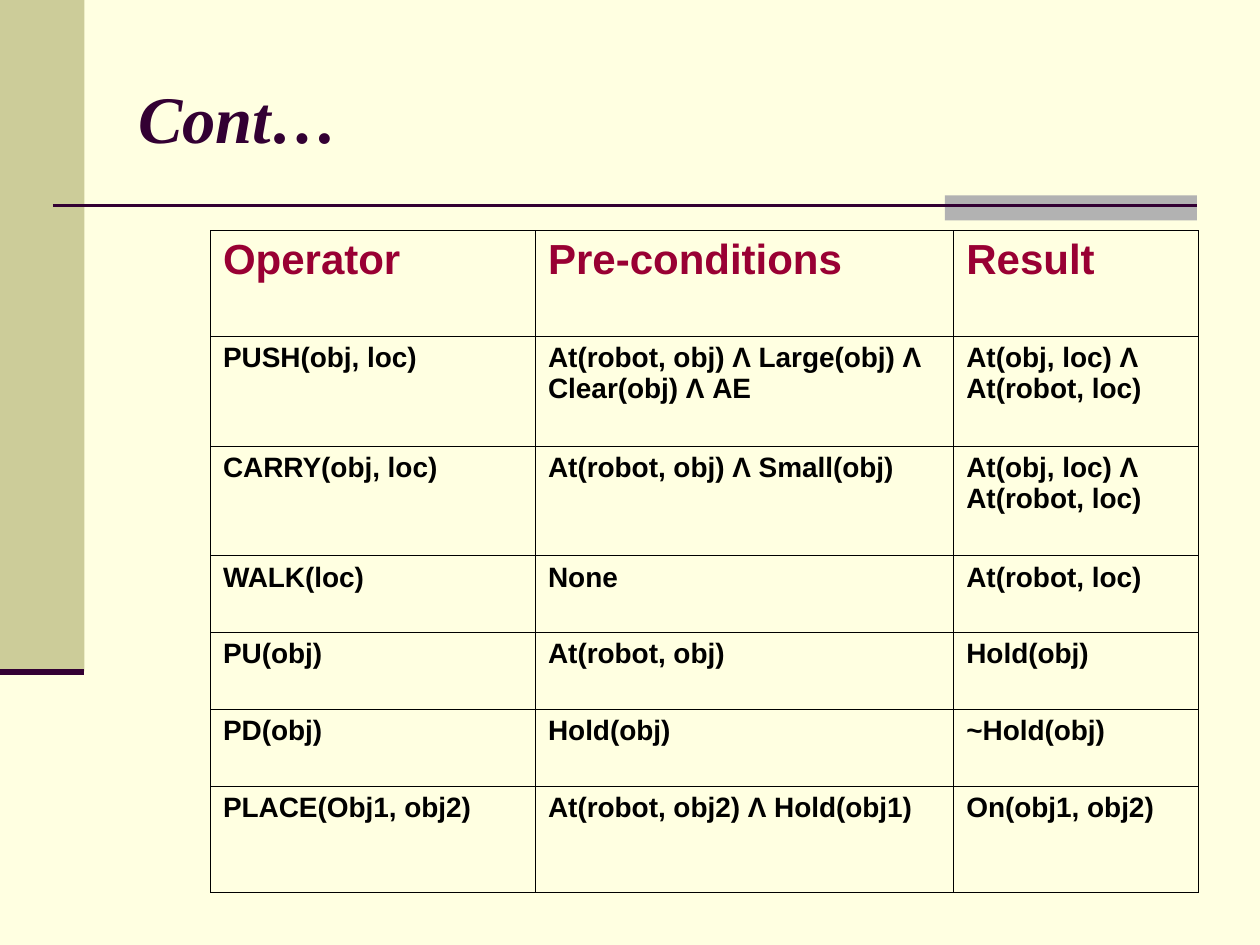
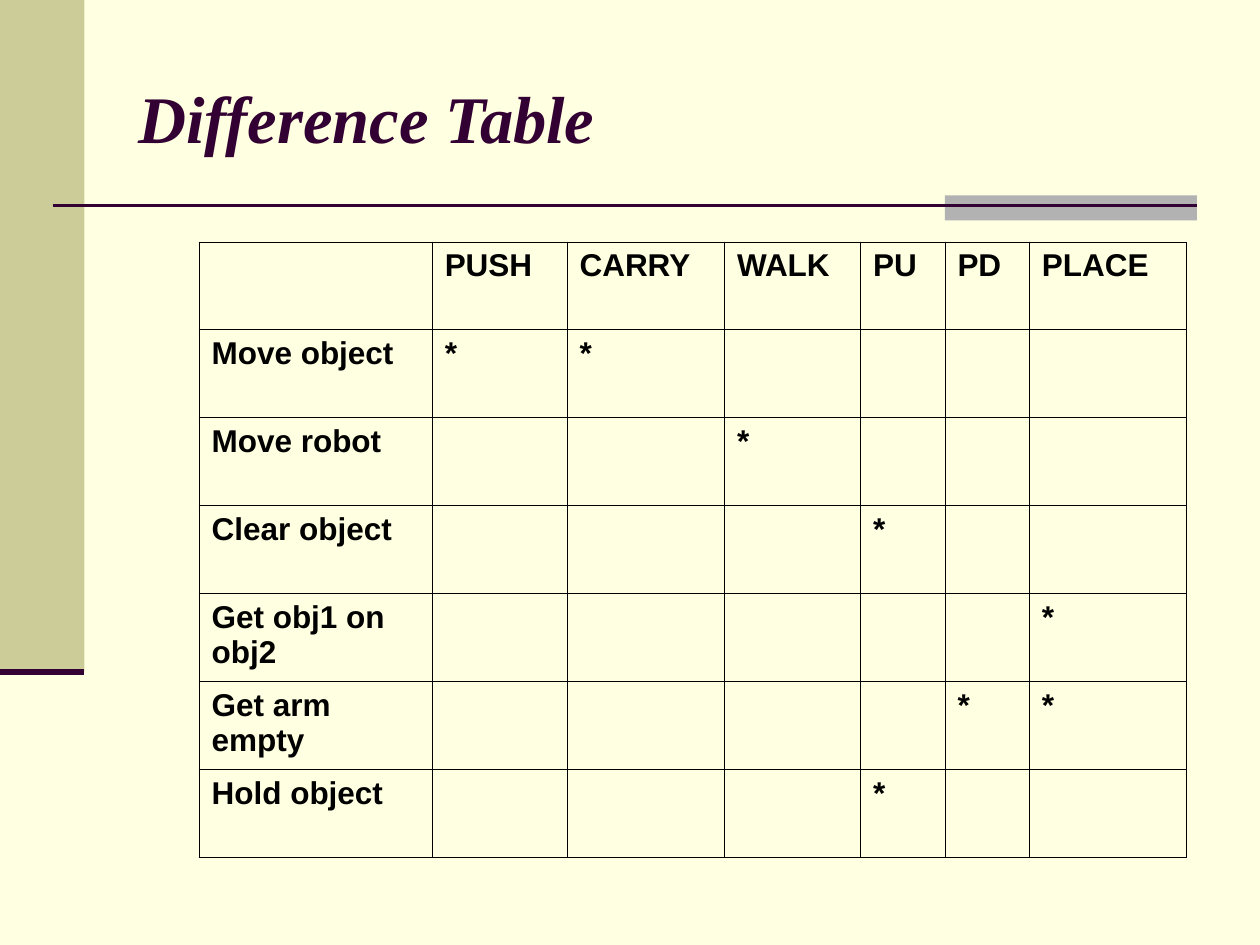
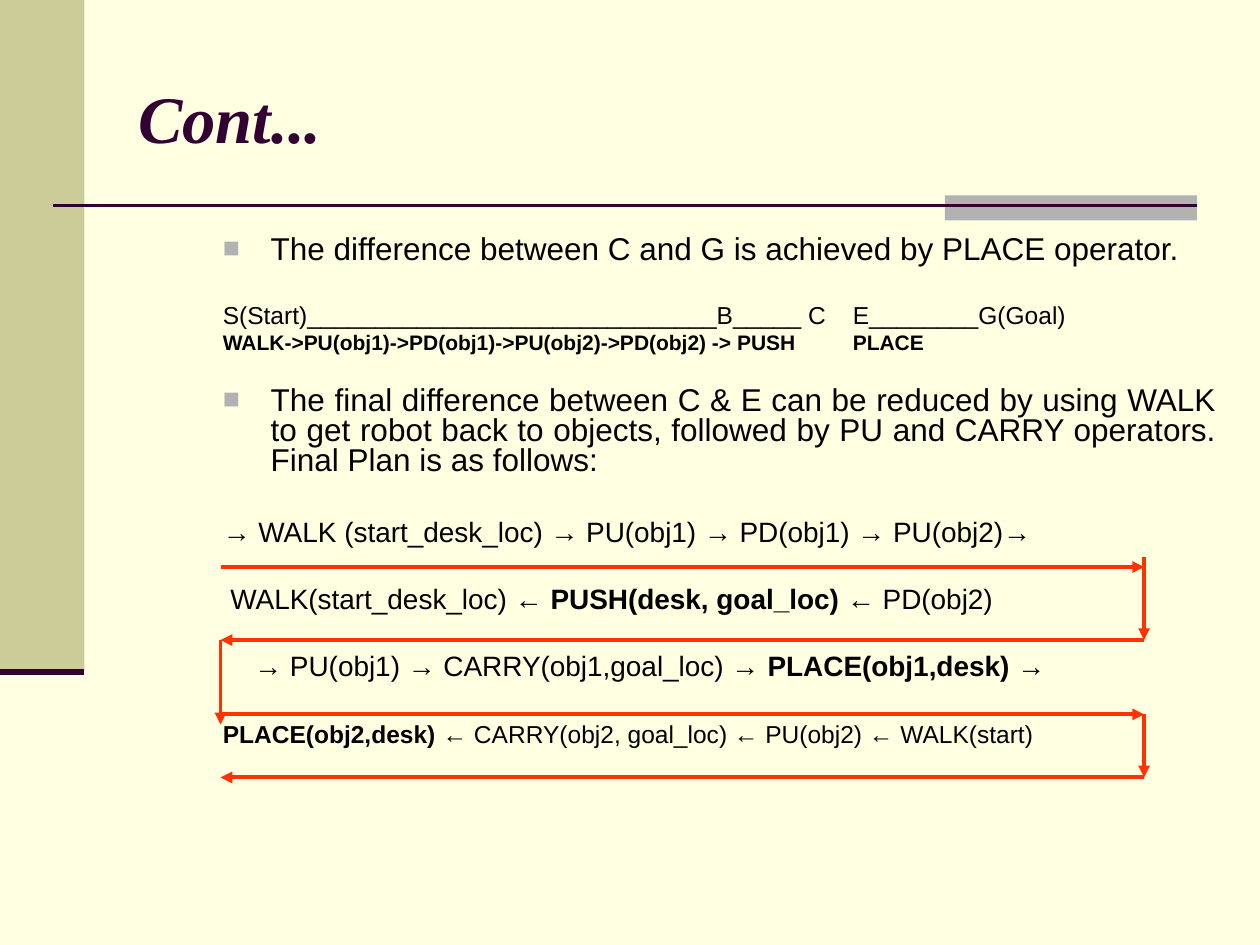
"""Build three slides on planning operators, their difference table and the final plan."""
from lxml.etree import SubElement as Sub
from pptx import Presentation
from pptx.dml.color import RGBColor as Rgb
from pptx.enum.shapes import MSO_CONNECTOR as Conn, MSO_SHAPE as Form
from pptx.enum.text import MSO_ANCHOR as Anchor, PP_ALIGN as Align
from pptx.oxml.ns import qn
from pptx.util import Inches, Pt

HUES = {
    "page": "FFFFE1", "band": "CCCC99", "gray": "B2B2B2", "plum": "330033",
    "wine": "990033", "ink": "000000", "red": "FF3300",
}
HEAD = {"size": Pt(38), "name": "Times New Roman", "bold": True, "italic": True}
TOP = {"size": Pt(24), "name": "Arial", "bold": True}
CELL = {"size": Pt(16), "name": "Arial", "bold": True}
MARK = {"size": Pt(18), "name": "Arial", "bold": True}


class Deck:
    def __init__(self):
        self.show = Presentation()
        self.show.slide_width, self.show.slide_height = Inches(10), Inches(7.5)
        self.slide = None

    def hue(self, name):
        return Rgb.from_string(HUES[name])

    def style(self, item, look):
        for key, value in look.items():
            setattr(item, key, value)

    def label(self, para, text, look, hue="ink"):
        run = para.add_run()
        run.text = text
        self.style(run.font, look)
        run.font.color.rgb = self.hue(hue)

    def rect(self, box, hue):
        shape = self.slide.shapes.add_shape(Form.RECTANGLE, *map(Inches, box))
        shape.shadow.inherit = False
        shape.fill.solid()
        shape.fill.fore_color.rgb = self.hue(hue)
        shape.line.fill.background()

    def line(self, start, end, hue, width, arrow=False):
        line = self.slide.shapes.add_connector(
            Conn.STRAIGHT, *map(Inches, (*start, *end)))
        line.line.color.rgb = self.hue(hue)
        line.line.width = Pt(width)
        props = line._element.spPr
        if arrow:
            Sub(props.find(qn("a:ln")), qn("a:tailEnd"), type="triangle")
        Sub(props, qn("a:effectLst"))

    def text(self, box):
        frame = self.slide.shapes.add_textbox(*map(Inches, box)).text_frame
        frame.word_wrap = True
        return frame

    def page(self, title):
        self.slide = self.show.slides.add_slide(self.show.slide_layouts[6])
        fill = self.slide.background.fill
        fill.solid()
        fill.fore_color.rgb = self.hue("page")
        self.rect((0, 0, 0.67, 5.33), "band")
        self.rect((7.5, 1.55, 2, 0.2), "gray")
        self.line((0.42, 1.63), (9.5, 1.63), "plum", 1.5)
        self.line((0, 5.33), (0.67, 5.33), "plum", 3.5)
        frame = self.text((1, 0.3, 8.5, 1.25))
        frame.vertical_anchor = Anchor.MIDDLE
        self.label(frame.paragraphs[0], title, HEAD, "plum")

    def edge(self, cell):
        props = cell._tc.get_or_add_tcPr()
        for side in ("lnL", "lnR", "lnT", "lnB"):
            line = Sub(props, qn(f"a:{side}"), w=str(Pt(0.45)))
            Sub(Sub(line, qn("a:solidFill")), qn("a:srgbClr"), val=HUES["ink"])
        cell.fill.background()

    def table(self, spot, cols, highs, rows, look, top, hue="ink"):
        size = sum(cols), sum(highs)
        grid = self.slide.shapes.add_table(
            len(rows), len(cols), *map(Inches, (*spot, *size))).table
        self.style(grid, {"first_row": False, "horz_banding": False})
        for col, width in zip(grid.columns, cols):
            col.width = Inches(width)
        for num, (row, high, words) in enumerate(zip(grid.rows, highs, rows)):
            row.height = Inches(high)
            form = (look, "ink") if num else (top, hue)
            for cell, word in zip(row.cells, words):
                self.edge(cell)
                frame = cell.text_frame
                for at, part in enumerate(word.split("\n") if word else ()):
                    para = frame.add_paragraph() if at else frame.paragraphs[0]
                    self.label(para, part, *form)

    def body(self, box, items):
        frame = self.text(box)
        for num, (size, gap, form, runs) in enumerate(items):
            para = frame.add_paragraph() if num else frame.paragraphs[0]
            self.style(para, {"line_spacing": 0.8, "space_before": Pt(gap)})
            self.indent(para, **form)
            for text, bold in runs:
                self.label(para, text, {"size": Pt(size), "name": "Arial", "bold": bold})

    def indent(self, para, dot=False, left=0, tab=None, align=Align.LEFT):
        para.alignment = align
        props = para._p.get_or_add_pPr()
        hang = 0.38 if dot else 0
        props.set("marL", str(Inches(left + hang)))
        props.set("indent", str(Inches(-hang)))
        if dot:
            Sub(Sub(props, qn("a:buClr")), qn("a:srgbClr"), val=HUES["gray"])
            Sub(props, qn("a:buSzPct"), val="90000")
            Sub(props, qn("a:buFont"), typeface="Arial")
            Sub(props, qn("a:buChar"), char="■")
        else:
            Sub(props, qn("a:buNone"))
        if tab:
            Sub(Sub(props, qn("a:tabLst")), qn("a:tab"), pos=str(Inches(tab)), algn="l")


def rules(deck):
    deck.page("Cont…")
    rows = [
        ("Operator", "Pre-conditions", "Result"),
        ("PUSH(obj, loc)", "At(robot, obj) Λ Large(obj) Λ Clear(obj) Λ AE",
         "At(obj, loc) Λ At(robot, loc)"),
        ("CARRY(obj, loc)", "At(robot, obj) Λ Small(obj)",
         "At(obj, loc) Λ\nAt(robot, loc)"),
        ("WALK(loc)", "None", "At(robot, loc)"),
        ("PU(obj)", "At(robot, obj)", "Hold(obj)"),
        ("PD(obj)", "Hold(obj)", "~Hold(obj)"),
        ("PLACE(Obj1, obj2)", "At(robot, obj2) Λ Hold(obj1)", "On(obj1, obj2)"),
    ]
    highs = [0.84, 0.87, 0.87, 0.61, 0.61, 0.61, 0.84]
    deck.table((1.67, 1.83), (2.58, 3.32, 1.94), highs, rows, CELL, TOP, "wine")


def marks(deck):
    deck.page("Difference Table")
    acts = ("PUSH", "CARRY", "WALK", "PU", "PD", "PLACE")
    goals = {
        "Move object": ("PUSH", "CARRY"),
        "Move robot": ("WALK",),
        "Clear object": ("PU",),
        "Get obj1 on obj2": ("PLACE",),
        "Get arm empty": ("PD", "PLACE"),
        "Hold object": ("PU",),
    }
    rows = [("", *acts)]
    for goal, used in goals.items():
        rows.append((goal, *("*" if act in used else "" for act in acts)))
    cols = (1.85, 1.07, 1.25, 1.08, 0.67, 0.67, 1.25)
    deck.table((1.58, 1.92), cols, [4.88 / len(rows)] * len(rows), rows, MARK, MARK)


def plan(deck):
    deck.page("Cont...")
    deck.body((1.67, 1.83, 8.08, 5.42), [
        (18, 0, {"dot": True},
         [("The difference between C and G is achieved by PLACE operator.", False)]),
        (14, 22, {"tab": 5},
         [("S(Start)______________________________B_____ C\tE________G(Goal)", False)]),
        (12, 3, {"tab": 5.14},
         [("WALK->PU(obj1)->PD(obj1)->PU(obj2)->PD(obj2) -> PUSH\tPLACE", True)]),
        (18, 18.5, {"dot": True, "align": Align.JUSTIFY},
         [("The final difference between C & E can be reduced by using WALK to get "
           "robot back to objects, followed by PU and CARRY operators. "
           "Final Plan is as follows:", False)]),
        (16, 25, {},
         [("→ WALK (start_desk_loc) → PU(obj1) → PD(obj1) → PU(obj2)→", False)]),
        (16, 22.7, {"left": 0.06},
         [("WALK(start_desk_loc) ", False), ("← PUSH(desk, goal_loc) ", True),
          ("← PD(obj2)", False)]),
        (16, 22.7, {"left": 0.25},
         [("→ PU(obj1) → CARRY(obj1,goal_loc) → ", False),
          ("PLACE(obj1,desk) ", True), ("→", False)]),
        (14, 24.5, {},
         [("PLACE(obj2,desk) ", True),
          ("← CARRY(obj2, goal_loc) ← PU(obj2) ← WALK(start)", False)]),
    ])
    west, east = 1.75, 9.08
    hops = [
        (west, 4.5, east, 4.5), (east, 4.42, east, 5.08),
        (east, 5.08, west, 5.08), (west, 5.08, west, 5.75),
        (west, 5.67, east, 5.67), (east, 6.17, west, 6.17),
        (east, 5.67, east, 6.17),
    ]
    for *start, right, down in hops:
        deck.line(start, (right, down), "red", 2.25, arrow=True)


def main():
    deck = Deck()
    for build in (rules, marks, plan):
        build(deck)
    deck.show.save("out.pptx")


if __name__ == "__main__":
    main()
